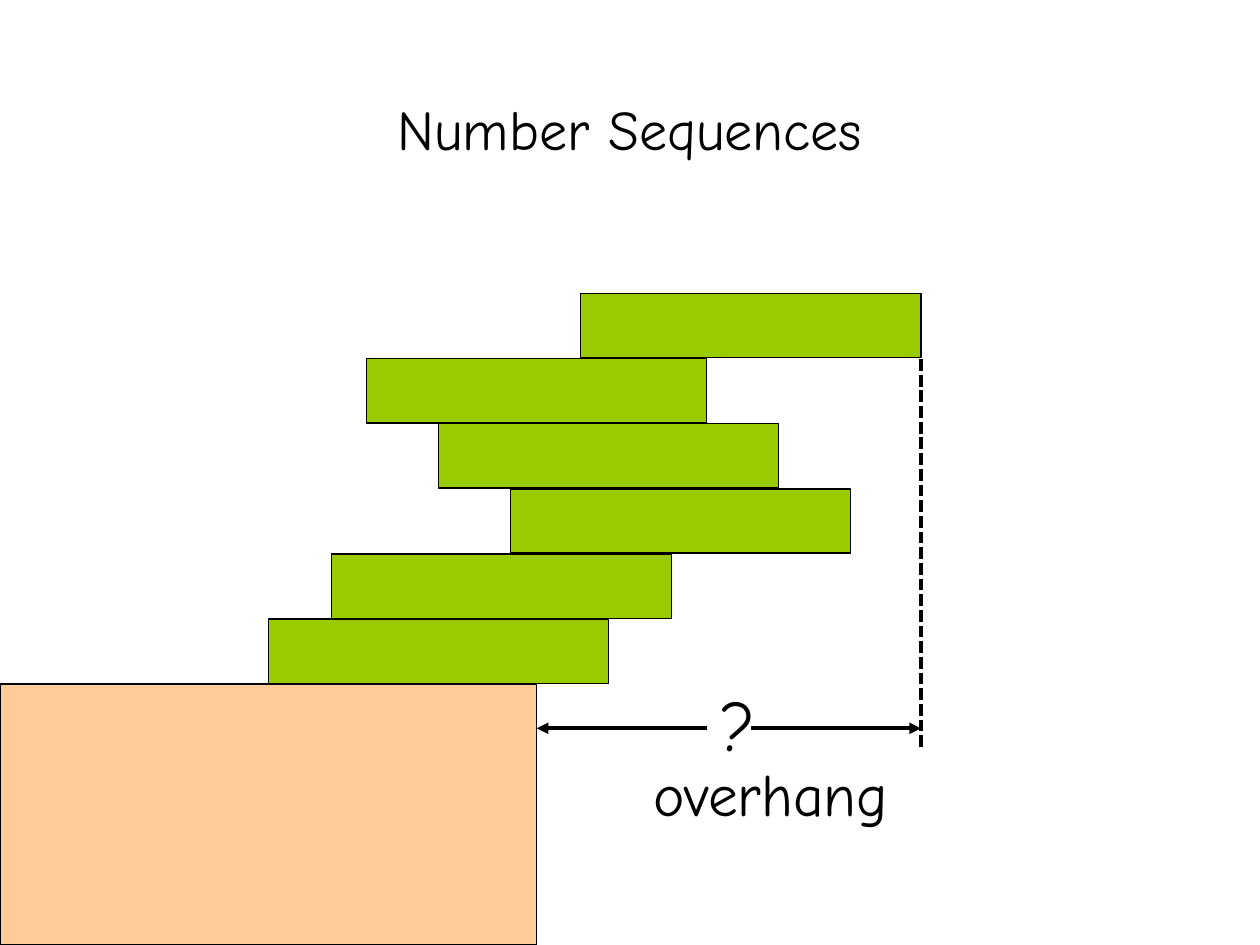
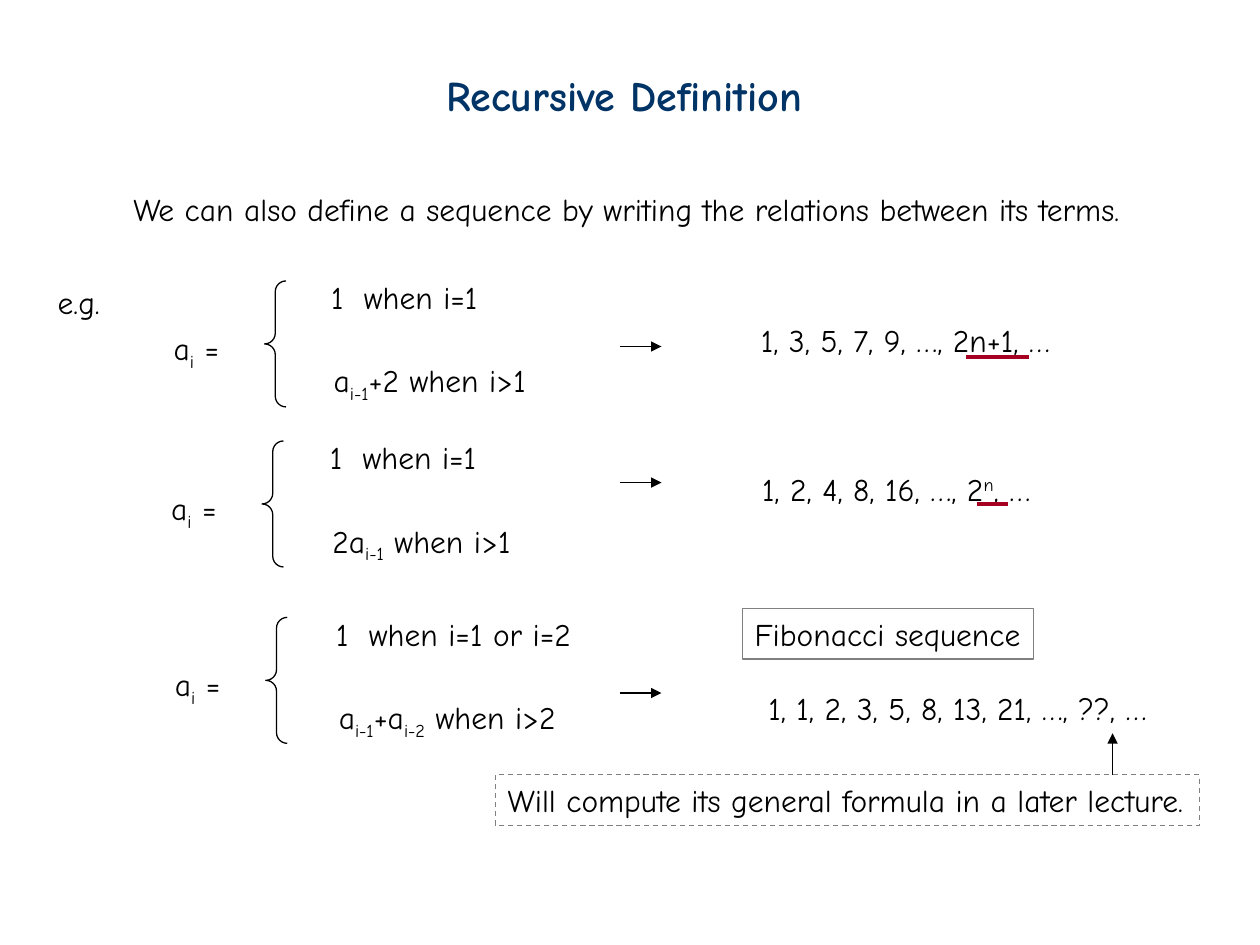
import dataclasses
import typing

import pptx
import pptx.dml.color
import pptx.enum.dml
import pptx.enum.shapes
import pptx.enum.text
import pptx.oxml.ns
import pptx.util
from lxml import etree
from pptx.util import Inches

# Shared look
FONT = "Comic Neue"
COLORS = {
    "ink": "000000",
    "heading": "003366",
    "block": "99CC00",
    "table": "FFCC99",
    "frame": "808080",
    "mark": "A50021",
}
BODY_SIZE = 18
THIN, THICK = 0.75, 2.25
SUB, SUPER = -25, 30
CASE_TAB = 0.26
TITLE_ONLY = 5
DASH = pptx.enum.dml.MSO_LINE
ALIGN = pptx.enum.text.PP_ALIGN
ANCHOR = pptx.enum.text.MSO_ANCHOR
SHAPE = pptx.enum.shapes.MSO_SHAPE

Point = tuple[float, float]
Box = tuple[float, float, float, float]
Pieces = list[tuple[str, int]]  # wording and its baseline shift in percent


@dataclasses.dataclass
class Style:
    size: float = BODY_SIZE
    color: str = "ink"
    bold: bool = False
    align: typing.Any = ALIGN.LEFT
    anchor: typing.Any = ANCHOR.TOP
    wrap: bool = False
    tab: float = 0
    line_spacing: float = 1.0


@dataclasses.dataclass
class Recurrence:
    brace: Point
    cases_left: float
    base_case: str
    base_width: float
    step_case: Pieces
    step_width: float
    arrow_y: float
    terms: Pieces
    terms_box: Box
    underline: tuple[float, float, float] | None = None  # left, right, y


BODY = Style()
CASE = Style(tab=CASE_TAB)


# Drawing helpers
def rgb(name: str) -> pptx.dml.color.RGBColor:
    return pptx.dml.color.RGBColor.from_string(COLORS[name])


def inches(values: typing.Iterable[float]) -> list[pptx.util.Length]:
    return [Inches(value) for value in values]


def write(shape, content: str | Pieces, style: Style = BODY) -> None:
    frame = shape.text_frame
    frame.word_wrap = style.wrap
    frame.auto_size = pptx.enum.text.MSO_AUTO_SIZE.NONE
    frame.vertical_anchor = style.anchor
    frame.margin_left = frame.margin_right = Inches(0.1)
    frame.margin_top = frame.margin_bottom = Inches(0.05)
    paragraph = frame.paragraphs[0]
    paragraph.alignment = style.align
    paragraph.line_spacing = style.line_spacing
    if style.tab:
        stops = etree.SubElement(paragraph._p.get_or_add_pPr(), pptx.oxml.ns.qn("a:tabLst"))
        etree.SubElement(stops, pptx.oxml.ns.qn("a:tab"), pos=str(Inches(style.tab)), algn="l")
    pieces = [(content, 0)] if isinstance(content, str) else content
    for wording, shift in pieces:
        run = paragraph.add_run()
        run.text = wording
        run.font.name = FONT
        run.font.size = pptx.util.Pt(style.size)
        run.font.bold = style.bold
        run.font.color.rgb = rgb(style.color)
        if shift:
            run._r.get_or_add_rPr().set("baseline", str(shift * 1000))


def add_text(slide, box: Box, content: str | Pieces, style: Style = BODY) -> None:
    write(slide.shapes.add_textbox(*inches(box)), content, style)


def add_title(slide, box: Box, wording: str, style: Style) -> None:
    title = slide.shapes.title
    title.left, title.top, title.width, title.height = inches(box)
    write(title, wording, style)


def add_outlined(slide, kind, box: Box, fill: str | None = None, line: str = "ink", dash=None):
    shape = slide.shapes.add_shape(kind, *inches(box))
    shape.shadow.inherit = False
    if fill:
        shape.fill.solid()
        shape.fill.fore_color.rgb = rgb(fill)
    else:
        shape.fill.background()
    shape.line.color.rgb = rgb(line)
    shape.line.width = pptx.util.Pt(THIN)
    if dash:
        shape.line.dash_style = dash
    return shape


def add_line(slide, start: Point, end: Point, width: float = THIN, color: str = "ink",
             arrow: bool = False, dash=None) -> None:
    line = slide.shapes.add_connector(
        pptx.enum.shapes.MSO_CONNECTOR.STRAIGHT, *inches(start + end))
    line.line.color.rgb = rgb(color)
    line.line.width = pptx.util.Pt(width)
    if dash:
        line.line.dash_style = dash
    if arrow:
        etree.SubElement(line.line._get_or_add_ln(), pptx.oxml.ns.qn("a:tailEnd"), type="triangle")
    etree.SubElement(line._element.spPr, pptx.oxml.ns.qn("a:effectLst"))


# Slide 1: stacked blocks reaching over the table edge
def build_overhang(slide) -> None:
    add_title(slide, (0.75, 0.08, 8.5, 1.61), "Number Sequences",
              Style(32, align=ALIGN.CENTER, anchor=ANCHOR.MIDDLE, wrap=True, line_spacing=1.5))

    table_top, table_edge = 5.43, 4.26
    stack_top, stack_edge = 2.33, 7.31
    block_lefts = [2.13, 2.63, 4.05, 3.48, 2.91, 4.61]  # from the bottom up
    pitch = (table_top - stack_top) / len(block_lefts)
    add_outlined(slide, SHAPE.RECTANGLE, (0, table_top, table_edge, 7.5 - table_top), "table")
    for level, left in enumerate(block_lefts, start=1):
        add_outlined(slide, SHAPE.RECTANGLE,
                     (left, table_top - level * pitch, 2.7, 0.51), "block")

    # Measure of the overhang
    measure_y = 5.78
    add_line(slide, (stack_edge, 2.85), (stack_edge, 5.95), THICK, dash=DASH.SQUARE_DOT)
    add_text(slide, (5.62, 5.36, 0.48, 0.77), "?", Style(40))
    for inner, outer in [(5.61, table_edge), (5.96, stack_edge)]:
        add_line(slide, (inner, measure_y), (outer, measure_y), THICK, arrow=True)
    add_text(slide, (5.09, 5.96, 2.07, 0.67), "overhang", Style(34))


# Slide 2: recurrences and the sequences they give
RECURRENCES = [
    Recurrence((2.1, 2.23), 2.53, "1\twhen i=1", 1.37,
               [("a", 0), ("i-1", SUB), ("+2 when i>1", 0)], 1.72, 2.75,
               [("1, 3, 5, 7, 9, …, 2n+1, …", 0)], (5.94, 2.5, 2.49, 0.4),
               (7.67, 8.17, 2.83)),
    Recurrence((2.08, 3.5), 2.52, "1\twhen i=1", 1.37,
               [("2a", 0), ("i-1", SUB), (" when i>1", 0)], 1.61, 3.83,
               [("1, 2, 4, 8, 16, …, 2", 0), ("n", SUPER), (", …", 0)],
               (5.95, 3.68, 2.33, 0.4), (7.75, 8, 4)),
    Recurrence((2.11, 4.9), 2.57, "1\twhen i=1 or i=2", 2.07,
               [("a", 0), ("i-1", SUB), ("+a", 0), ("i-2", SUB), (" when i>2", 0)], 1.92, 5.5,
               [("1, 1, 2, 3, 5, 8, 13, 21, …, ??, …", 0)], (6, 5.42, 3.2, 0.4)),
]


def add_recurrence(slide, item: Recurrence) -> None:
    left, top = item.brace
    brace = add_outlined(slide, SHAPE.LEFT_BRACE, (left, top, 0.17, 1))
    brace.adjustments[0] = 0.5
    add_text(slide, (left - 0.82, top + 0.33, 0.56, 0.44), [("a", 0), ("i", SUB), (" =", 0)])
    add_text(slide, (item.cases_left, top - 0.07, item.base_width, 0.4), item.base_case, CASE)
    add_text(slide, (item.cases_left + 0.02, top + 0.59, item.step_width, 0.44), item.step_case)
    add_line(slide, (4.92, item.arrow_y), (5.25, item.arrow_y), arrow=True)
    add_text(slide, item.terms_box, item.terms)
    if item.underline:
        start, end, y = item.underline
        add_line(slide, (start, y), (end, y), THICK, "mark")


def build_recursion(slide) -> None:
    add_title(slide, (3.44, 0.5, 3.03, 0.5), "Recursive Definition",
              Style(24, "heading", bold=True))
    add_text(slide, (0.96, 1.46, 8.06, 0.4),
             "We can also define a sequence by writing the relations between its terms.")
    add_text(slide, (0.36, 2.2, 0.53, 0.4), "e.g.")
    for item in RECURRENCES:
        add_recurrence(slide, item)

    # Framed remarks on the last sequence
    remarks = [
        ((5.89, 4.83, 2.31, 0.4), "Fibonacci sequence", None),
        ((3.93, 6.15, 5.59, 0.4), "Will compute its general formula in a later lecture.", DASH.DASH),
    ]
    for box, wording, dash in remarks:
        write(add_outlined(slide, SHAPE.RECTANGLE, box, line="frame", dash=dash), wording)
    add_line(slide, (8.83, 6.15), (8.83, 5.82), arrow=True)


def main() -> None:
    deck = pptx.Presentation()
    deck.slide_width, deck.slide_height = inches((10, 7.5))
    for build in (build_overhang, build_recursion):
        build(deck.slides.add_slide(deck.slide_layouts[TITLE_ONLY]))
    deck.save("out.pptx")


if __name__ == "__main__":
    main()
